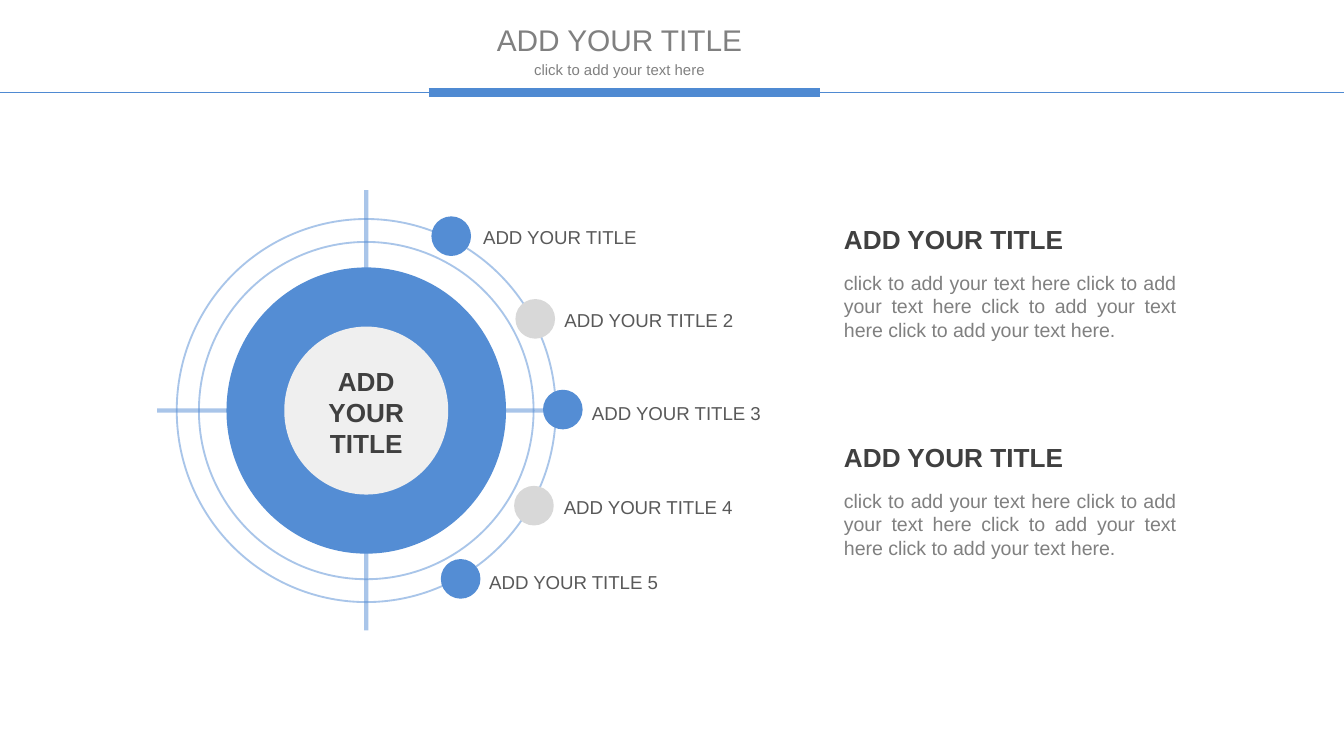
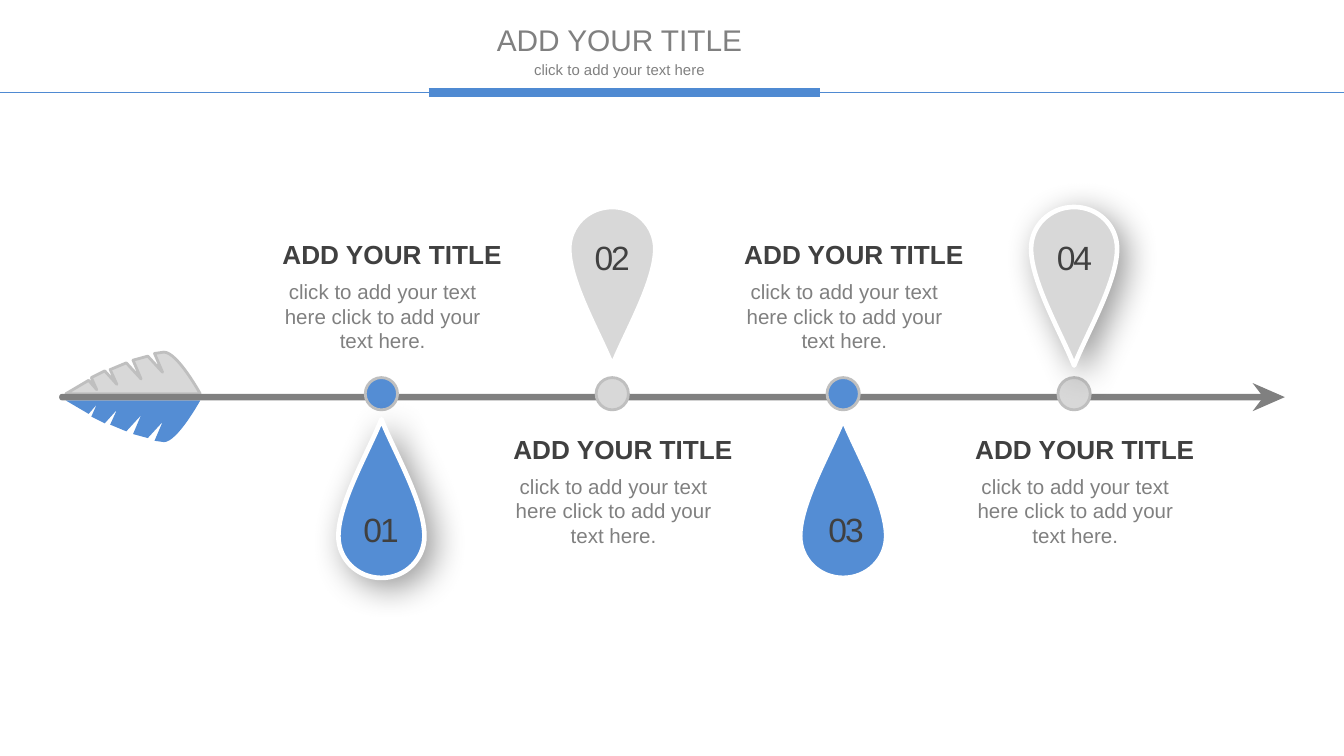
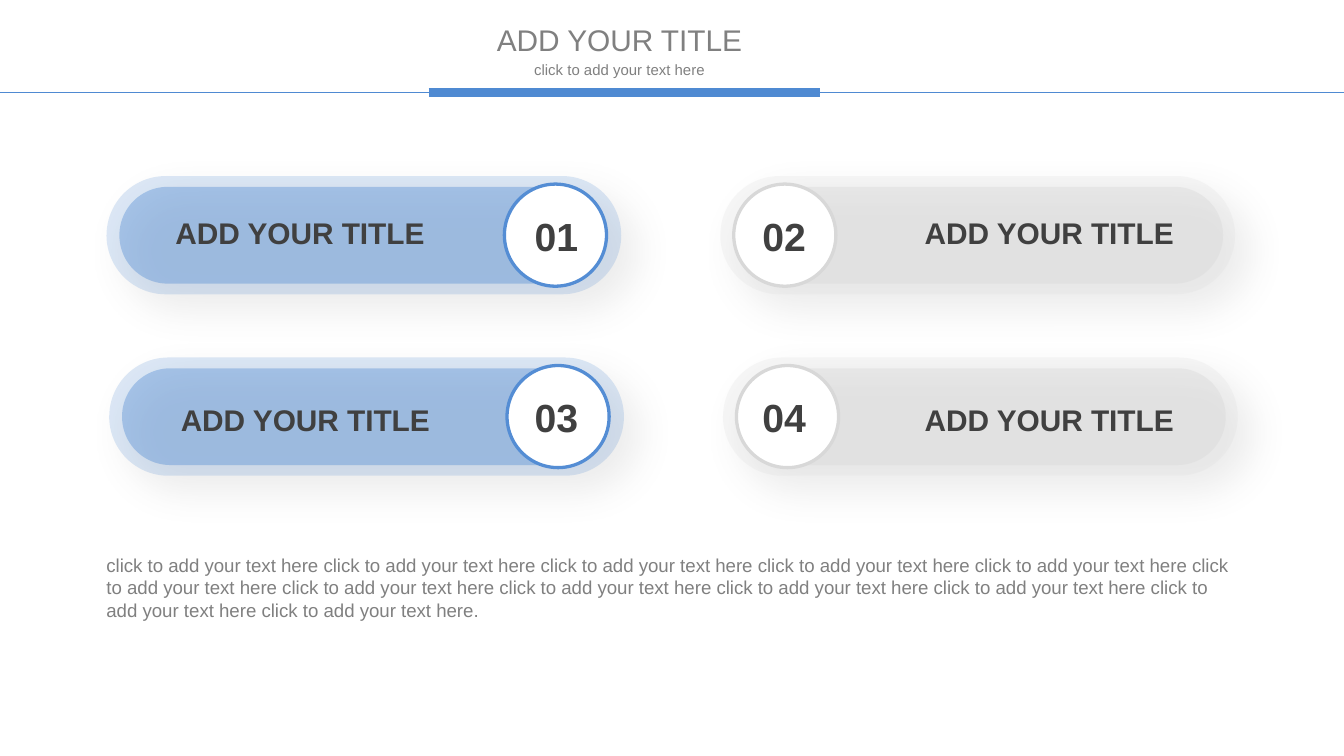
from dataclasses import dataclass
from typing import NamedTuple, Optional

from lxml.etree import SubElement
from pptx import Presentation
from pptx.dml.color import RGBColor
from pptx.enum.shapes import MSO_CONNECTOR, MSO_SHAPE
from pptx.enum.text import MSO_ANCHOR, MSO_AUTO_SIZE, PP_ALIGN
from pptx.oxml.ns import qn
from pptx.util import Emu, Pt

# Grid: 100 columns across the slide, 56.25 square rows down it
CELL = 91440
COLS, ROWS = 100, 56.25

COLORS = {
    "rule": "4F8AD2", "blue": "548DD4", "silver": "D8D8D8", "pale": "EFEFEF",
    "white": "FFFFFF", "edge": "BFBFBF", "gray": "808080", "dark": "404040",
    "label": "595959",
}
FONT = "Arial"
TITLE = "ADD YOUR TITLE"
PHRASE = "click to add your text here"


class Box(NamedTuple):
    col: float
    row: float
    cols: float
    rows: float


class Point(NamedTuple):
    col: float
    row: float


class Shadow(NamedTuple):
    alpha: int
    blur: float
    dist: float


# A segment holds one point for a line, or three for a cubic curve
Segment = list[Point]


@dataclass(frozen=True)
class Paint:
    fill: Optional[str] = None
    line: Optional[str] = None
    width: float = 1
    alpha: int = 100
    shadow: Optional[Shadow] = None


@dataclass(frozen=True)
class Style:
    size: float
    color: str
    bold: bool = False
    align: PP_ALIGN = PP_ALIGN.LEFT
    inset: Point = Point(0.7, 0.4)
    anchor: MSO_ANCHOR = MSO_ANCHOR.TOP
    wrap: bool = True
    spacing: int = 0
    before: float = 0


def cells(n: float) -> Emu:
    return Emu(round(n * CELL))


def phrases(count: int) -> str:
    return " ".join([PHRASE] * count) + "."


def rgb(name: str) -> RGBColor:
    return RGBColor.from_string(COLORS[name])


# Shared drawing functions
def set_alpha(sp, alpha: int) -> None:
    if alpha < 100:
        for clr in sp._element.spPr.iter(qn("a:srgbClr")):
            SubElement(clr, qn("a:alpha")).set("val", str(alpha * 1000))


def add_paint(sp, paint: Paint) -> None:
    if paint.fill:
        sp.fill.solid()
        sp.fill.fore_color.rgb = rgb(paint.fill)
    else:
        sp.fill.background()
    if paint.line:
        sp.line.color.rgb = rgb(paint.line)
        sp.line.width = Pt(paint.width)
    else:
        sp.line.fill.background()
    set_alpha(sp, paint.alpha)
    sp.shadow.inherit = False
    if paint.shadow:
        effects = sp._element.spPr.find(qn("a:effectLst"))
        outer = SubElement(effects, qn("a:outerShdw"), {
            "blurRad": str(Pt(paint.shadow.blur)), "dist": str(Pt(paint.shadow.dist)),
            "dir": str(45 * 60000), "algn": "tl", "rotWithShape": "0"})
        clr = SubElement(outer, qn("a:srgbClr"), val="000000")
        SubElement(clr, qn("a:alpha")).set("val", str(paint.shadow.alpha * 1000))


def add_preset(slide, kind: MSO_SHAPE, box: Box, paint: Paint) -> None:
    sp = slide.shapes.add_shape(kind, *map(cells, box))
    if kind == MSO_SHAPE.ROUNDED_RECTANGLE:
        sp.adjustments[0] = 0.5
    add_paint(sp, paint)


def add_outline(slide, segments: list[Segment], paint: Paint) -> None:
    """Closed outline; the first segment is the starting point."""
    (start, *pts) = [(cells(x), cells(y)) for seg in segments for x, y in seg]
    builder = slide.shapes.build_freeform(*start)
    builder.add_line_segments(pts, close=True)
    sp = builder.convert_to_shape()
    # Join the three points of each curve into one cubic segment
    steps = iter(list(sp._element.spPr.iter(qn("a:lnTo"))))
    for seg in segments[1:]:
        first, *rest = [next(steps) for _ in seg]
        for step in rest:
            first.append(step[0])
            step.getparent().remove(step)
        if rest:
            first.tag = qn("a:cubicBezTo")
    add_paint(sp, paint)


def add_line(slide, start: Point, end: Point, color: str, width: float, alpha: int = 100) -> None:
    ln = slide.shapes.add_connector(MSO_CONNECTOR.STRAIGHT, *map(cells, start + end))
    ln.line.color.rgb = rgb(color)
    ln.line.width = Pt(width)
    set_alpha(ln, alpha)
    SubElement(ln._element.spPr, qn("a:effectLst"))


def write(sp, text: str, style: Style) -> None:
    tf = sp.text_frame
    tf.word_wrap = style.wrap
    tf.auto_size = MSO_AUTO_SIZE.SHAPE_TO_FIT_TEXT
    tf.vertical_anchor = style.anchor
    tf.margin_left = tf.margin_right = cells(style.inset.col)
    tf.margin_top = tf.margin_bottom = cells(style.inset.row)
    p = tf.paragraphs[0]
    p.alignment = style.align
    p.space_before = Pt(style.before)
    r = p.add_run()
    r.text = text
    r.font.name, r.font.size, r.font.bold = FONT, Pt(style.size), style.bold
    r.font.color.rgb = rgb(style.color)
    if style.spacing:
        r._r.get_or_add_rPr().set("spc", str(style.spacing))


def add_text(slide, box: Box, text: str, style: Style) -> None:
    write(slide.shapes.add_textbox(*map(cells, box)), text, style)


# Text styles
CENTER = PP_ALIGN.CENTER
WIDE = Point(1, 0.5)
HEADER = Style(16, "gray", align=CENTER, inset=WIDE, wrap=False)
SUBHEADER = Style(8, "gray", align=CENTER, inset=WIDE)
LABEL = Style(10, "label", inset=Point(0.6, 0.3), anchor=MSO_ANCHOR.MIDDLE)
HEADING = Style(14, "dark", bold=True)
HEADING_MID = Style(14, "dark", bold=True, align=CENTER)
BODY_JUSTIFIED = Style(10.5, "gray", align=PP_ALIGN.JUSTIFY)
BODY_MID = Style(11, "gray", align=CENTER)
DROP_NUMBER = Style(18, "dark", align=CENTER, spacing=-110)
PILL_NUMBER = Style(21, "dark", bold=True, align=CENTER, inset=WIDE)
PILL_TITLE = Style(16, "dark", bold=True, wrap=False)
FOOT_TEXT = Style(10, "gray", before=2)


def new_slide(prs):
    """Title-only slide with the header band."""
    slide = prs.slides.add_slide(prs.slide_layouts[5])
    title = slide.shapes.title
    title.left, title.top, title.width, title.height = map(cells, Box(35.8, 1.1, 20.6, 3.7))
    write(title, TITLE, HEADER)
    add_text(slide, Box(36.65, 4, 18.9, 2.4), PHRASE, SUBHEADER)
    add_line(slide, Point(0, 6.9), Point(COLS, 6.9), "rule", 0.75)
    add_line(slide, Point(31.9, 6.9), Point(61, 6.9), "rule", 5)
    return slide


# Slide 1: target with five labelled dots
class Dot(NamedTuple):
    text: str
    dot: Point
    label: Point


DOTS = [
    Dot(TITLE, Point(32.1, 16.1), Point(35.35, 16.5)),
    Dot(f"{TITLE} 2", Point(38.35, 22.25), Point(41.4, 22.7)),
    Dot(f"{TITLE} 3", Point(40.4, 29), Point(43.45, 29.55)),
    Dot(f"{TITLE} 4", Point(38.25, 36.15), Point(41.35, 36.6)),
    Dot(f"{TITLE} 5", Point(32.8, 41.6), Point(35.8, 42.15)),
]


def target_slide(prs) -> None:
    slide = new_slide(prs)
    hub = Point(27.25, 30.55)
    add_line(slide, Point(11.7, hub.row), Point(42.8, hub.row), "blue", 2.25, 50)
    add_line(slide, Point(hub.col, 14.15), Point(hub.col, 46.9), "blue", 2.25, 50)
    ring = Paint(line="blue", alpha=50)
    for width, height, paint in [(24.9, 25.1, ring), (28.2, 28.5, ring),
                                 (20.8, 21.3, Paint("blue")), (12.2, 12.5, Paint("pale"))]:
        box = Box(hub.col - width / 2, hub.row - height / 2, width, height)
        add_preset(slide, MSO_SHAPE.OVAL, box, paint)
    add_text(slide, Box(22.35, 26.75, 9.8, 7.8), TITLE, HEADING_MID)

    for i, item in enumerate(DOTS):
        add_text(slide, Box(*item.label, 18.2, 2.3), item.text, LABEL)
        add_preset(slide, MSO_SHAPE.OVAL, Box(*item.dot, 2.95, 2.95),
                   Paint(("blue", "silver")[i % 2]))

    for top in (16.25, 32.45):
        add_text(slide, Box(62.1, top, 26.15, 3.1), TITLE, HEADING)
        add_text(slide, Box(62.1, top + 3.5, 26.15, 6.1), phrases(4), BODY_JUSTIFIED)


# Slide 2: arrow timeline with drops
AXIS = 29.55
FEATHER = [[Point(*xy)] for xy in [
    (12.2, 26.2), (11.5, 26.3), (12.1, 27.7), (11, 26.5), (9.9, 26.8), (10.5, 28.2),
    (9.4, 27), (8.2, 27.5), (8.7, 28.6), (7.8, 27.6), (6.8, 28.1), (7.2, 29),
    (6.6, 28.3), (4.9, 29.3), (14.9, 29.3)]]
FEATHER.append([Point(14.9, 29.3), Point(13.2, 26.2), Point(12.2, 26.2)])
ARROWHEAD = [[Point(95.6, AXIS)], [Point(93.2, AXIS + 1.05)], [Point(94, AXIS)],
             [Point(93.2, AXIS - 1.05)]]
DROP = [[Point(*xy) for xy in seg] for seg in [
    [(0, 0)],
    [(-0.9, 2.3), (-3.2, 6.2), (-3.2, 8.7)],
    [(-3.2, 10.4), (-1.8, 11.8), (0, 11.8)],
    [(1.8, 11.8), (3.2, 10.4), (3.2, 8.7)],
    [(3.2, 6.2), (0.9, 2.3), (0, 0)]]]
NUMBER_COLS = (25.4, 42.6, 60, 77)


def place(segments: list[Segment], origin: Point, way: int) -> list[Segment]:
    """Move an outline to its origin, turned upside down when way is -1."""
    return [[Point(origin.col + x, origin.row + way * y) for x, y in seg]
            for seg in segments]


def timeline_slide(prs) -> None:
    slide = new_slide(prs)
    add_outline(slide, FEATHER, Paint("silver", "edge", 1.5))
    add_outline(slide, place(FEATHER, Point(0, 2 * AXIS), -1), Paint("blue"))
    add_preset(slide, MSO_SHAPE.ROUNDED_RECTANGLE, Box(4.4, AXIS - 0.25, 90, 0.5), Paint("gray"))
    add_outline(slide, ARROWHEAD, Paint("gray"))

    for i, number_col in enumerate(NUMBER_COLS):
        center = 28.38 + 17.18 * i
        below = i % 2 == 0
        color = "blue" if below else "silver"
        add_preset(slide, MSO_SHAPE.OVAL, Box(center - 1.2, 28.1, 2.4, 2.4),
                   Paint(color, "edge", 1.5))
        tip = Point(center, 31.2 if below else 27.2)
        shadow = Shadow(40, 18, 6) if i in (0, 3) else None
        add_outline(slide, place(DROP, tip, 1 if below else -1),
                    Paint(color, "white", 2.5, shadow=shadow))
        add_text(slide, Box(number_col, 37.45 if below else 17.25, 5.9, 3.8),
                 f"{i + 1:02}", DROP_NUMBER)
        top = 17.35 if below else 31.85
        add_text(slide, Box(center - 8.9, top + 3, 18, 6.3), phrases(2), BODY_MID)
        add_text(slide, Box(center - 8.2, top, 18, 3.1), TITLE, HEADING_MID)


# Slide 3: four numbered pills
class Pill(NamedTuple):
    col: float
    row: float
    color: str
    inner: float
    circle: float
    number: float
    title: Point


PILLS = [
    Pill(7.93, 13.1, "blue", 0.95, 29.6, 38.6, Point(12.35, 15.6)),
    Pill(53.6, 13.1, "silver", 1.2, 1, 55.55, Point(68.1, 15.6)),
    Pill(8.13, 26.6, "blue", 0.95, 29.6, 38.6, Point(12.75, 29.5)),
    Pill(53.8, 26.6, "silver", 1.2, 1, 55.55, Point(68.1, 29.5)),
]


def pills_slide(prs) -> None:
    slide = new_slide(prs)
    for i, pill in enumerate(PILLS, 1):
        add_preset(slide, MSO_SHAPE.ROUNDED_RECTANGLE, Box(pill.col, pill.row, 38.3, 8.8),
                   Paint(pill.color, alpha=20, shadow=Shadow(38, 22, 12)))
        add_preset(slide, MSO_SHAPE.ROUNDED_RECTANGLE,
                   Box(pill.col + pill.inner, pill.row + 0.8, 36.2, 7.2),
                   Paint(pill.color, alpha=40))
        add_preset(slide, MSO_SHAPE.OVAL,
                   Box(pill.col + pill.circle, pill.row + 0.6, 7.6, 7.6),
                   Paint("white", pill.color, 1.75))
        add_text(slide, Box(pill.number, pill.row + 2.2, 5.6, 4.5), f"{i:02}", PILL_NUMBER)
        add_text(slide, Box(*pill.title, 20.3, 3.5), TITLE, PILL_TITLE)
    add_text(slide, Box(7.22, 40.8, 85.7, 5.8), phrases(12), FOOT_TEXT)


def main() -> None:
    prs = Presentation()
    prs.slide_width, prs.slide_height = cells(COLS), cells(ROWS)
    target_slide(prs)
    timeline_slide(prs)
    pills_slide(prs)
    prs.save("out.pptx")


if __name__ == "__main__":
    main()
